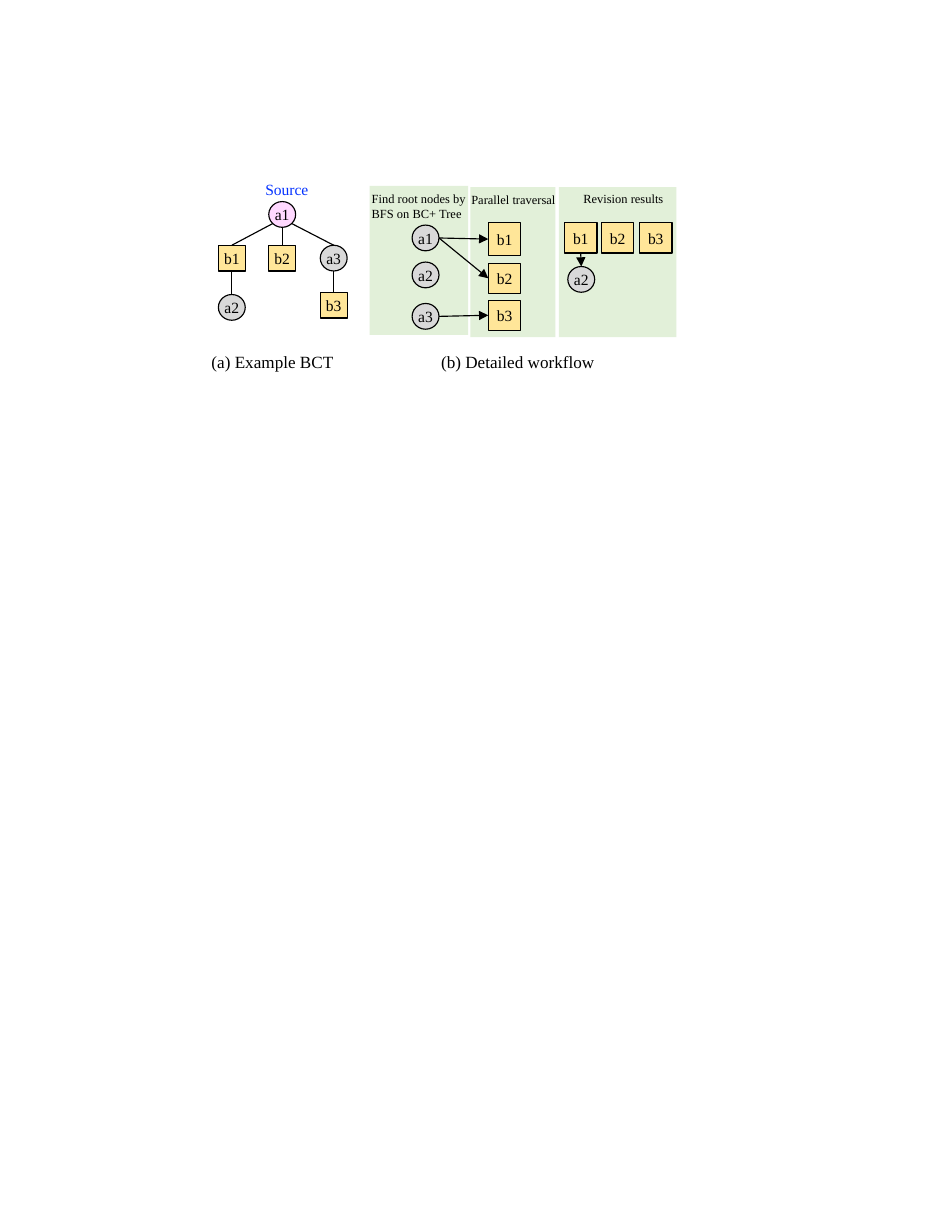
from math import cos, radians, sin
from typing import NamedTuple

from lxml import etree
from pptx import Presentation
from pptx.dml.color import RGBColor
from pptx.enum.shapes import MSO_CONNECTOR, MSO_SHAPE
from pptx.enum.text import MSO_ANCHOR, PP_ALIGN
from pptx.oxml.ns import qn
from pptx.util import Inches, Pt

RECT, OVAL = MSO_SHAPE.RECTANGLE, MSO_SHAPE.OVAL
STRAIGHT = MSO_CONNECTOR.STRAIGHT
CENTER, MIDDLE = PP_ALIGN.CENTER, MSO_ANCHOR.MIDDLE
TOP, LEFT, BOTTOM = 0, 1, 2  # connection sites of a rectangle

FONT = "Times New Roman"
COLORS = {"black": "000000", "blue": "0432FF", "pink": "FFD8FF",
          "gray": "D9D9D9", "yellow": "FFE699", "green": "E2F0D9"}


class Node(NamedTuple):
    text: str
    x: float
    y: float
    w: float = 0.24
    h: float = 0.23
    kind: int = RECT
    fill: str = "yellow"


class Link(NamedTuple):
    start: str
    start_at: int  # site of a rectangle, or angle on a circle
    end: str
    end_at: int
    arrow: bool = False


class Label(NamedTuple):
    text: str
    x: float
    y: float
    w: float
    h: float
    size: int
    color: str = "black"


def circle(text: str, x: float, y: float, fill: str = "gray") -> Node:
    return Node(text, x, y, kind=OVAL, fill=fill)


def rgb(name: str) -> RGBColor:
    return RGBColor.from_string(COLORS[name])


def write(tf, text: str, *, size: int, color: str = "black", align=None, anchor=None) -> None:
    tf.word_wrap = True
    if anchor is not None:
        tf.vertical_anchor = anchor
    p = tf.paragraphs[0]
    p.alignment = align
    r = p.add_run()
    r.text = text
    r.font.name, r.font.size = FONT, Pt(size)
    r.font.color.rgb = rgb(color)


def add_box(s, kind: int, x: float, y: float, w: float, h: float, fill: str):
    sp = s.shapes.add_shape(kind, Inches(x), Inches(y), Inches(w), Inches(h))
    sp.shadow.inherit = False
    sp.fill.solid()
    sp.fill.fore_color.rgb = rgb(fill)
    sp.line.fill.background()
    return sp


def add_node(s, node: Node):
    sp = add_box(s, node.kind, node.x, node.y, node.w, node.h, node.fill)
    sp.line.color.rgb = rgb("black")
    sp.line.width = Pt(0.75)
    tf = sp.text_frame
    tf.margin_left = tf.margin_right = 0
    tf.margin_top = tf.margin_bottom = Inches(0.05 if node.kind == RECT else 0)
    write(tf, node.text, size=10, align=CENTER, anchor=MIDDLE)
    return sp


def add_label(s, label: Label) -> None:
    box = s.shapes.add_textbox(Inches(label.x), Inches(label.y),
                               Inches(label.w), Inches(label.h))
    write(box.text_frame, label.text, size=label.size, color=label.color)


def rim_point(sp, angle: int) -> tuple[int, int]:
    """Point on a circle, with the angle clockwise from the right."""
    a = radians(angle)
    return (int(sp.left + sp.width / 2 * (1 + cos(a))),
            int(sp.top + sp.height / 2 * (1 + sin(a))))


def add_link(s, link: Link, shapes: dict) -> None:
    start, end = shapes[link.start], shapes[link.end]
    c = s.shapes.add_connector(STRAIGHT, *rim_point(start, link.start_at),
                               *rim_point(end, link.end_at))
    if start.auto_shape_type == RECT:
        c.begin_connect(start, link.start_at)
    if end.auto_shape_type == RECT:
        c.end_connect(end, link.end_at)
    c.line.color.rgb = rgb("black")
    c.line.width = Pt(0.75)
    if link.arrow:
        etree.SubElement(c.line._get_or_add_ln(), qn("a:tailEnd"), type="triangle")
    etree.SubElement(c._element.spPr, qn("a:effectLst"))


PANELS = [(4.2, 1.67, 0.76, 1.34), (3.3, 1.66, 0.88, 1.33), (4.99, 1.67, 1.05, 1.34)]

COLUMNS = (1.95, 2.4, 2.86)  # left edges of the tree's columns
NODES = {
    # Example tree
    "tree a1": circle("a1", COLUMNS[1], 1.8, "pink"),
    "tree a2": circle("a2", COLUMNS[0], 2.63),
    "tree a3": circle("a3", COLUMNS[2], 2.19),
    "tree b1": Node("b1", COLUMNS[0], 2.19),
    "tree b2": Node("b2", COLUMNS[1], 2.19),
    "tree b3": Node("b3", COLUMNS[2], 2.61),
    # Root nodes
    **{f"root {t}": circle(t, 3.68, y)
       for t, y in (("a1", 2.01), ("a2", 2.34), ("a3", 2.71))},
    # Traversal
    **{f"visit {t}": Node(t, 4.36, y, 0.29, h)
       for t, y, h in (("b1", 1.99, 0.29), ("b2", 2.35, 0.27), ("b3", 2.68, 0.27))},
    # Results
    **{f"result {t}": Node(t, x, 1.99, 0.29, 0.27)
       for t, x in (("b1", 5.04), ("b2", 5.37), ("b3", 5.71))},
    "result a2": circle("a2", 5.07, 2.38),
}

LINKS = [
    Link("tree a1", 135, "tree b1", TOP),
    Link("tree a1", 90, "tree b2", TOP),
    Link("tree a1", 45, "tree a3", 270),
    Link("tree b1", BOTTOM, "tree a2", 270),
    Link("tree a3", 90, "tree b3", TOP),
    Link("root a1", 0, "visit b1", LEFT, True),
    Link("root a1", 0, "visit b2", LEFT, True),
    Link("root a3", 0, "visit b3", LEFT, True),
    Link("result b1", BOTTOM, "result a2", 270, True),
]

LABELS = [
    Label("(a) Example BCT", 1.79, 3.09, 1.93, 0.29, 11),
    Label("(b) Detailed workflow", 3.84, 3.09, 1.93, 0.29, 11),
    Label("Source", 2.27, 1.56, 0.68, 0.27, 10, "blue"),
    Label("Find root nodes by BFS on BC+ Tree", 3.22, 1.66, 1.05, 0.37, 8),
    Label("Parallel traversal", 4.11, 1.67, 1.05, 0.24, 8),
    Label("Revision results", 5.11, 1.66, 1.05, 0.24, 8),
]


def main() -> None:
    prs = Presentation()
    prs.slide_width, prs.slide_height = Inches(8.5), Inches(11)
    s = prs.slides.add_slide(prs.slide_layouts[6])
    for panel in PANELS:
        add_box(s, RECT, *panel, "green")
    shapes = {name: add_node(s, node) for name, node in NODES.items()}
    for link in LINKS:
        add_link(s, link, shapes)
    for label in LABELS:
        add_label(s, label)
    prs.save("out.pptx")


if __name__ == "__main__":
    main()
